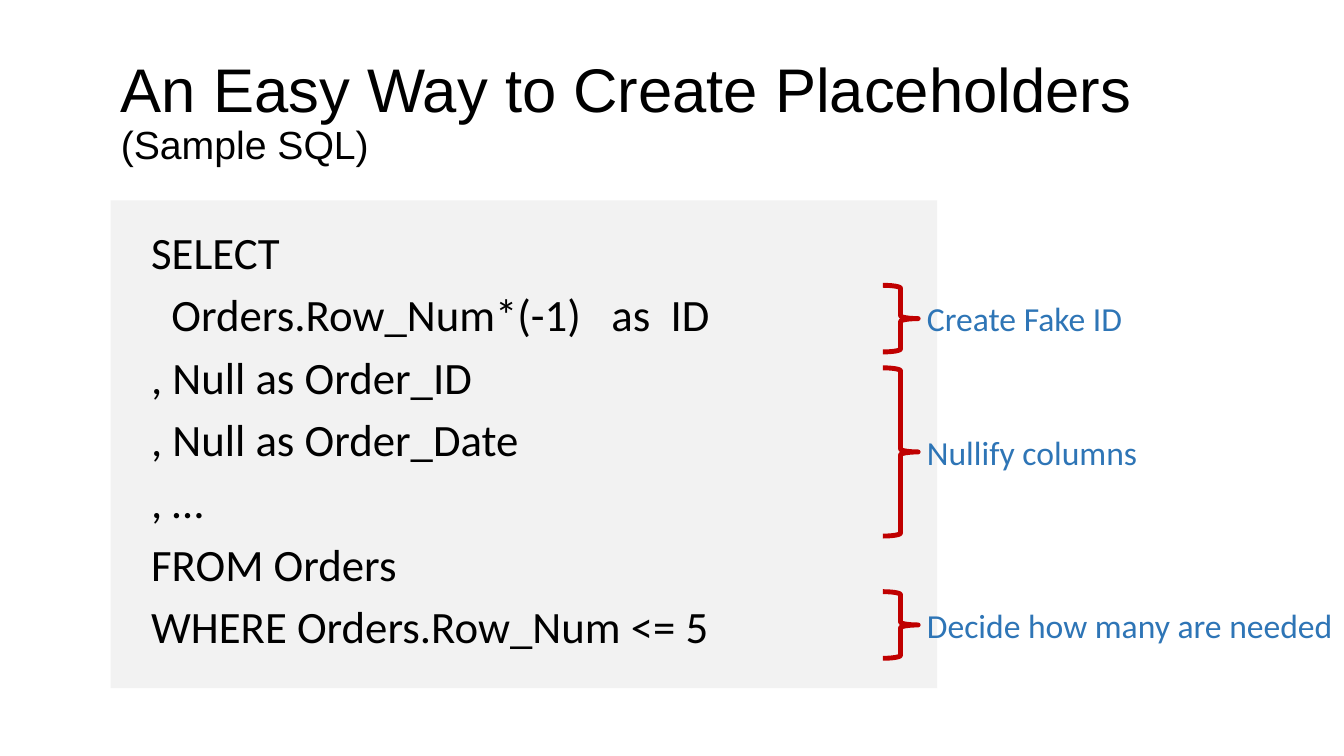
from pptx import Presentation
from pptx.dml.color import RGBColor
from pptx.enum.shapes import MSO_SHAPE
from pptx.enum.text import MSO_ANCHOR, MSO_AUTO_SIZE, PP_ALIGN
from pptx.util import Cm, Pt

RECTANGLE = MSO_SHAPE.RECTANGLE
RIGHT_BRACE = MSO_SHAPE.RIGHT_BRACE
TOP, MIDDLE = MSO_ANCHOR.TOP, MSO_ANCHOR.MIDDLE
NO_AUTOFIT = MSO_AUTO_SIZE.NONE
LEFT = PP_ALIGN.LEFT

# Content
TITLE = "An Easy Way to Create Placeholders "
SUBTITLE = "(Sample SQL)"
SQL_LINES = [
    "SELECT",
    "  Orders.Row_Num*(-1)   as  ID",
    ", Null as Order_ID",
    ", Null as Order_Date",
    ", …",
    "FROM Orders",
    "WHERE Orders.Row_Num <= 5",
]
# Label, brace top, brace height, label width (cm)
NOTES = [
    ("Create Fake ID", 7.19, 1.68, 5.49),
    ("Nullify columns", 9.27, 4.24, 5.87),
    ("Decide how many are needed", 14.91, 1.68, 10.85),
]
COLORS = {"text": "000000", "panel": "F2F2F2", "brace": "C00000", "note": "2E75B6"}

# Layout (cm)
MARGIN_LEFT = 2.79
BRACE_LEFT, BRACE_WIDTH = 22.25, 0.89
LABEL_LEFT, LABEL_HEIGHT = 23.11, 1.28


def rgb(name):
    return RGBColor.from_string(COLORS[name])


def add_run(paragraph, text, size, font, color):
    run = paragraph.add_run()
    run.text = text
    run.font.size = Pt(size)
    run.font.name = font
    run.font.color.rgb = rgb(color)


def add_title(slide):
    title = slide.shapes.title
    title.left, title.top = Cm(MARGIN_LEFT), Cm(1.02)
    title.width, title.height = Cm(29.11), Cm(3.68)
    frame = title.text_frame
    frame.auto_size = NO_AUTOFIT
    frame.vertical_anchor = MIDDLE
    heading = frame.paragraphs[0]
    heading.alignment = LEFT
    heading.line_spacing = 0.9
    add_run(heading, TITLE, 44, "Arial", "text")
    heading.add_line_break()
    add_run(heading, SUBTITLE, 28, "Arial", "text")


def add_sql_panel(slide):
    panel = slide.shapes.add_shape(
        RECTANGLE, Cm(MARGIN_LEFT), Cm(5.05), Cm(20.83), Cm(12.29))
    panel.shadow.inherit = False
    panel.fill.solid()
    panel.fill.fore_color.rgb = rgb("panel")
    panel.line.fill.background()
    frame = panel.text_frame
    frame.word_wrap = True
    frame.vertical_anchor = TOP
    frame.margin_left = Cm(1.02)
    frame.margin_top = frame.margin_bottom = Cm(0.76)
    for index, sql in enumerate(SQL_LINES):
        line = frame.add_paragraph() if index else frame.paragraphs[0]
        line.alignment = LEFT
        line.line_spacing = 0.9
        line.space_before = Pt(10 if index else 0)
        add_run(line, sql, 32, "Calibri", "text")


def add_note(slide, label, top, height, label_width):
    brace = slide.shapes.add_shape(
        RIGHT_BRACE, Cm(BRACE_LEFT), Cm(top), Cm(BRACE_WIDTH), Cm(height))
    brace.shadow.inherit = False
    brace.fill.background()
    brace.line.color.rgb = rgb("brace")
    brace.line.width = Pt(3.5)

    # The label is centred on the brace tip
    label_top = top + (height - LABEL_HEIGHT) / 2
    note = slide.shapes.add_textbox(
        Cm(LABEL_LEFT), Cm(label_top), Cm(label_width), Cm(LABEL_HEIGHT))
    note.text_frame.word_wrap = False
    add_run(note.text_frame.paragraphs[0], label, 24, "Calibri", "note")


def main():
    deck = Presentation()
    deck.slide_width, deck.slide_height = Cm(33.87), Cm(19.05)
    slide = deck.slides.add_slide(deck.slide_layouts[5])
    add_title(slide)
    add_sql_panel(slide)
    for note in NOTES:
        add_note(slide, *note)
    deck.save("out.pptx")


if __name__ == "__main__":
    main()
